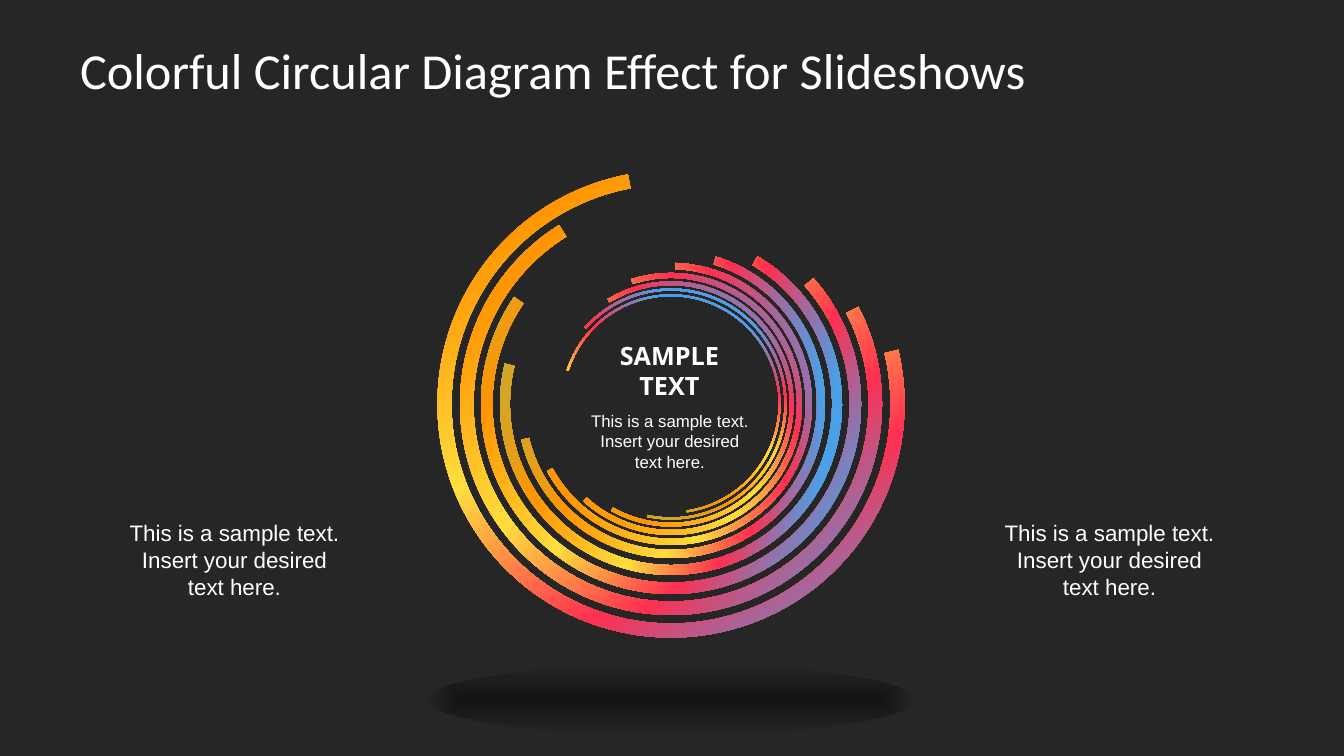
from dataclasses import dataclass

from pptx import Presentation
from pptx.dml.color import RGBColor
from pptx.enum.shapes import MSO_SHAPE
from pptx.enum.text import MSO_ANCHOR, MSO_AUTO_SIZE, PP_ALIGN
from pptx.oxml import parse_xml
from pptx.oxml.ns import nsdecls
from pptx.util import Emu, Pt

BLOCK_ARC, OVAL = MSO_SHAPE.BLOCK_ARC, MSO_SHAPE.OVAL
LEFT, CENTER = PP_ALIGN.LEFT, PP_ALIGN.CENTER
MIDDLE = MSO_ANCHOR.MIDDLE
GROW = MSO_AUTO_SIZE.SHAPE_TO_FIT_TEXT
TITLE_ONLY = 5
EMU_PER_PX = 914400 / 100.8


@dataclass(frozen=True)
class Theme:
    background: str = "262626"
    text: str = "FFFFFF"
    title_font: str = "Calibri"
    heading_font: str = "Open Sans"
    body_font: str = "Arial"
    title_size: int = 36
    heading_size: int = 18
    body_size: int = 16
    small_size: int = 12
    # Gradient stops: position, colour, opacity in percent
    rainbow: tuple = (
        (0, "9BBB59", 100), (24, "FF9503", 100), (46, "FFDE3E", 100),
        (66, "FF2F51", 100), (85, "4BA0E7", 100),
    )
    shade: tuple = ((0, "000000", 48), (100, "000000", 0))


THEME = Theme()
RING_CENTER = (671, 404)
# Rings from inside out: diameter, rotation, start, end, thickness
RINGS = (
    (219, 0, 118.82, 48.94, 0.008),
    (231, 0, 133.03, 61.12, 0.009),
    (245, 17.8, 132.65, 60.85, 0.015),
    (262, 31.1, 132.71, 60.51, 0.019),
    (282, 50.7, 132.71, 60.5, 0.022),
    (308, 65.8, 132.71, 60.44, 0.026),
    (342, 79.2, 132.71, 68.66, 0.029),
    (380, 100.6, 130.75, 68.2, 0.03),
    (422, 114.7, 130.75, 73.95, 0.032),
    (467, 128.7, 130.75, 78.39, 0.03),
)
LINEAR = '<a:lin ang="17400000" scaled="0"/>'
RADIAL = ('<a:path path="shape"><a:fillToRect l="50000" t="50000" '
          'r="50000" b="50000"/></a:path>')
SAMPLE = "This is a sample text. Insert your desired text here."


def px(length):
    return Emu(round(length * EMU_PER_PX))


def format_text(text_frame, text, font_name, size, alignment, bold=False):
    text_frame.text = text
    text_frame.word_wrap = True
    for paragraph in text_frame.paragraphs:
        paragraph.alignment = alignment
        for run in paragraph.runs:
            run.font.name = font_name
            run.font.size = Pt(size)
            run.font.bold = bold
            run.font.color.rgb = RGBColor.from_string(THEME.text)


def set_title(slide, text, left, top, width, height):
    title = slide.shapes.title
    title.left, title.top = px(left), px(top)
    title.width, title.height = px(width), px(height)
    text_frame = title.text_frame
    format_text(text_frame, text, THEME.title_font, THEME.title_size, LEFT)
    text_frame.vertical_anchor = MIDDLE
    text_frame.margin_left = text_frame.margin_right = px(13)
    text_frame.margin_top = text_frame.margin_bottom = px(7)


def add_text(slide, text, left, top, width, height, font_name, size, bold=False):
    box = slide.shapes.add_textbox(px(left), px(top), px(width), px(height))
    format_text(box.text_frame, text, font_name, size, CENTER, bold)
    box.text_frame.auto_size = GROW


def add_gradient_shape(slide, kind, left, top, width, height, stops, direction):
    shape = slide.shapes.add_shape(kind, px(left), px(top), px(width), px(height))
    shape.shadow.inherit = False
    shape.line.fill.background()
    # Swap the solid fill for a gradient with any number of stops
    shape.fill.solid()
    properties = shape.element.spPr
    stop_xml = "".join(
        f'<a:gs pos="{position * 1000}"><a:srgbClr val="{color}">'
        f'<a:alpha val="{opacity * 1000}"/></a:srgbClr></a:gs>'
        for position, color, opacity in stops
    )
    gradient = parse_xml(
        f'<a:gradFill {nsdecls("a")} rotWithShape="1">'
        f"<a:gsLst>{stop_xml}</a:gsLst>{direction}</a:gradFill>"
    )
    properties.replace(properties.solidFill, gradient)
    return shape


def add_ring(slide, diameter, rotation, start, end, thickness):
    left, top = (center - diameter / 2 for center in RING_CENTER)
    ring = add_gradient_shape(slide, BLOCK_ARC, left, top, diameter, diameter,
                              THEME.rainbow, LINEAR)
    ring.rotation = rotation
    for index, value in enumerate((start, end, thickness)):
        ring.adjustments[index] = value


def main():
    presentation = Presentation()
    presentation.slide_width, presentation.slide_height = px(1344), px(756)
    slide = presentation.slides.add_slide(presentation.slide_layouts[TITLE_ONLY])
    background = slide.background.fill
    background.solid()
    background.fore_color.rgb = RGBColor.from_string(THEME.background)

    set_title(slide, "Colorful Circular Diagram Effect for Slideshows",
              67, 30, 1210, 79)

    # Spiral of rings above a soft floor shadow
    for ring in RINGS:
        add_ring(slide, *ring)
    add_gradient_shape(slide, OVAL, 428, 665, 486, 70, THEME.shade, RADIAL)

    # Text inside the rings
    add_text(slide, "SAMPLE\nTEXT", 581, 335, 177, 72,
             THEME.heading_font, THEME.heading_size, bold=True)
    add_text(slide, SAMPLE, 577, 406, 186, 72, THEME.body_font, THEME.small_size)

    # Text on both sides
    for left in (118, 993):
        add_text(slide, SAMPLE, left, 514, 233, 92,
                 THEME.body_font, THEME.body_size)

    presentation.save("out.pptx")


if __name__ == "__main__":
    main()
